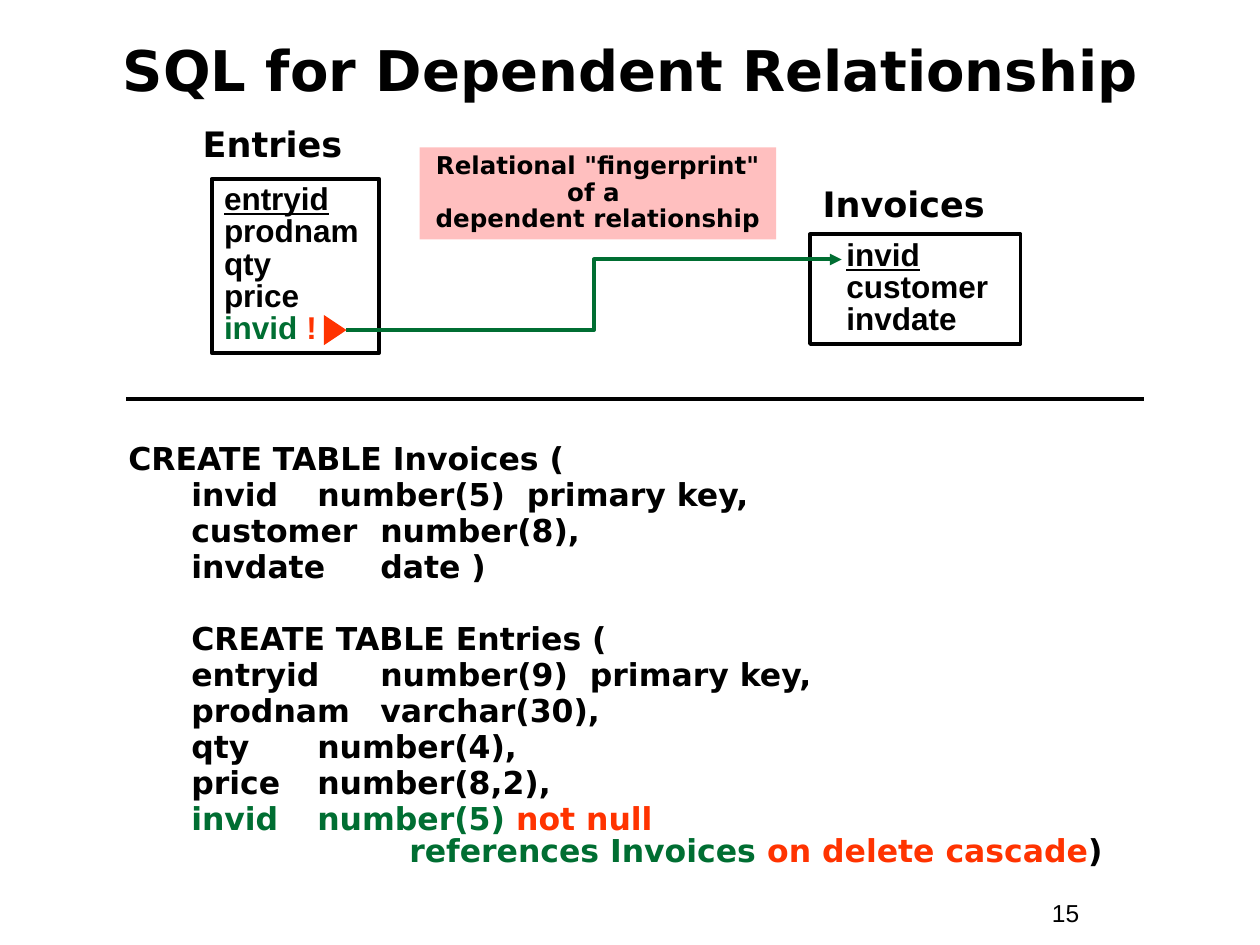
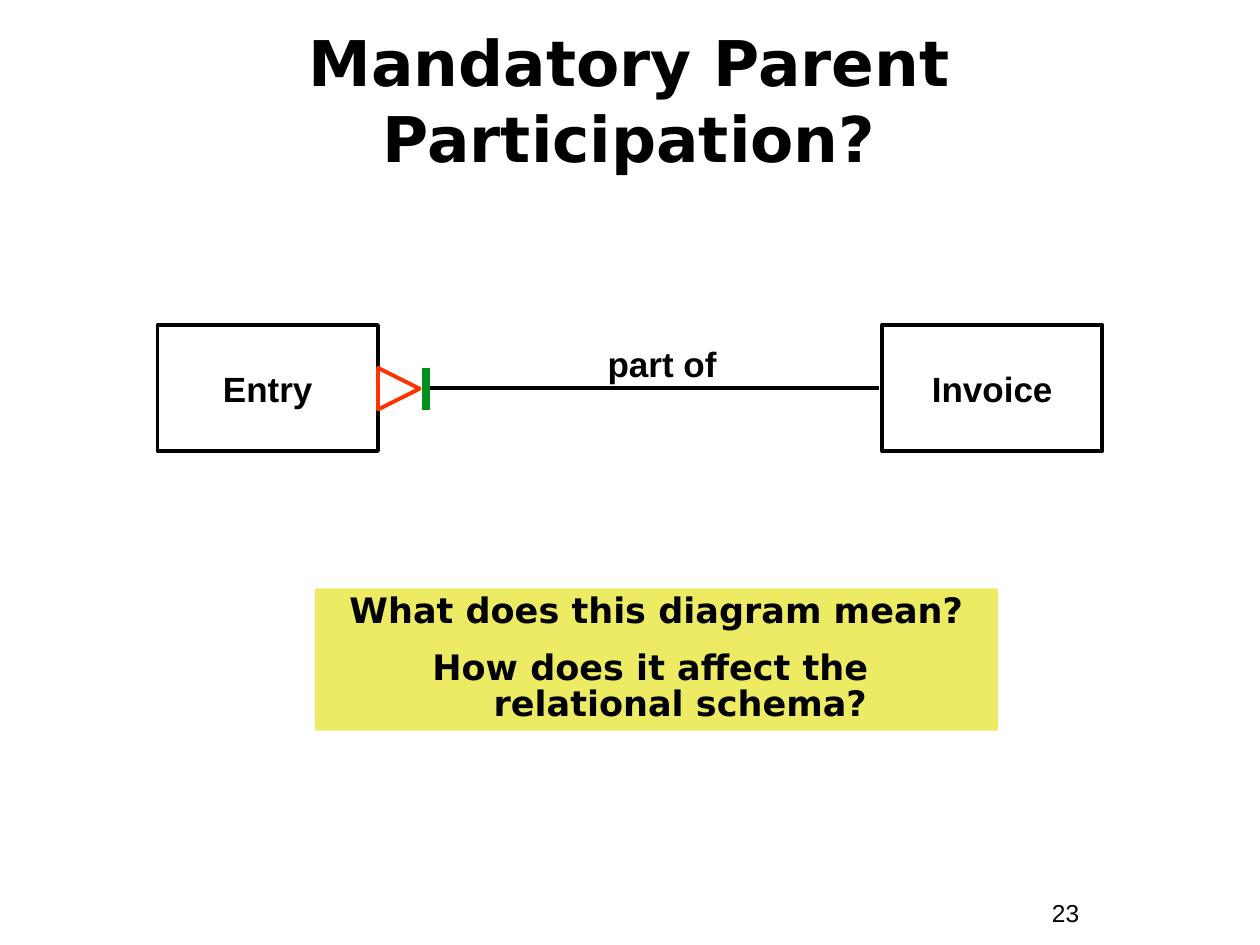
from dataclasses import dataclass

from lxml.etree import SubElement
from pptx import Presentation
from pptx.dml.color import RGBColor
from pptx.enum.shapes import MSO_CONNECTOR as Connector, MSO_SHAPE as Preset
from pptx.enum.text import MSO_ANCHOR as Anchor, PP_ALIGN as Align
from pptx.oxml.ns import qn
from pptx.util import Inches, Pt


@dataclass(frozen=True)
class Theme:
    black: str = "000000"
    key_green: str = "006E32"
    bar_green: str = "00901B"
    alert_red: str = "FF3300"
    pink: str = "FFBFBF"
    yellow: str = "EDEA63"
    heading_face: str = "DejaVu Sans"
    label_face: str = "Arial"
    label_size: int = 20
    body_size: int = 18
    small_size: int = 14
    line_width: float = 2.25
    bar_width: float = 4.5


THEME = Theme()


@dataclass
class Line:
    """One paragraph: runs are (text, colour) pairs, lengths in inches and points."""
    runs: list
    indent: float = 0
    first_indent: float = 0
    space_before: float = 0
    underline: bool = False
    tabs: tuple = ()


def plain(text, **options):
    return Line([(text, THEME.black)], **options)


def sql(*runs):
    return Line(list(runs), indent=0.5, space_before=2.2, tabs=range(8))


def sql_column(name, definition):
    return sql((f"{name}\t{definition}", THEME.black))


# Content: boxes are (left, top, width, height) in inches
PAGE_NUMBER_BOX = (8.25, 7.08, 0.92, 0.34)

SQL_TITLE = ("SQL for Dependent Relationship", (0.17, 0.17, 9.67, 0.75), 32)
ENTITIES = [
    ("Entries", (1.51, 0.92, 2.15, 0.44), (1.68, 1.42, 1.33, 1.38), [
        plain("entryid", underline=True),
        plain("prodnam"),
        plain("qty"),
        plain("price"),
        Line([("invid ", THEME.key_green), ("!", THEME.alert_red)]),
    ]),
    ("Invoices", (6.43, 1.4, 2.15, 0.44), (6.43, 1.86, 1.67, 0.87), [
        plain("invid", indent=0.19, underline=True),
        plain("customer", indent=0.19),
        plain("invdate", indent=0.19),
    ]),
]
FINGERPRINT = [plain('Relational "fingerprint" of a \vdependent relationship')]
SQL_CODE = [
    plain("CREATE TABLE Invoices ("),
    sql_column("invid", "number(5)  primary key,"),
    sql_column("customer", "number(8),"),
    sql_column("invdate", "date )"),
    plain("CREATE TABLE Entries (", indent=0.5, space_before=22.8),
    sql_column("entryid", "number(9)  primary key,"),
    sql_column("prodnam", "varchar(30),"),
    sql_column("qty", "\tnumber(4),"),
    sql_column("price", "number(8,2),"),
    sql(("invid\tnumber(5) ", THEME.key_green), ("not null", THEME.alert_red)),
    Line([("references Invoices ", THEME.key_green),
          ("on delete cascade", THEME.alert_red),
          (")", THEME.black)], indent=2.23),
]

PARENT_TITLE = ("Mandatory Parent Participation?", (0.33, 0.33, 9.33, 0.92), 36)
PARTICIPANTS = [("Entry", 1.25), ("Invoice", 7)]
QUESTIONS = [
    plain("What does this diagram mean?", indent=0.38, first_indent=-0.38),
    plain("How does it affect the \vrelational schema?",
          indent=0.38, first_indent=-0.38, space_before=12.5),
]


def inches(values):
    return [Inches(value) for value in values]


def rgb(colour):
    return RGBColor.from_string(colour)


def set_layout(paragraph, line):
    properties = paragraph._p.get_or_add_pPr()
    properties.set("marL", str(Inches(line.indent)))
    properties.set("indent", str(Inches(line.first_indent)))
    if line.tabs:
        tab_list = SubElement(properties, qn("a:tabLst"))
        for position in line.tabs:
            SubElement(tab_list, qn("a:tab"), pos=str(Inches(position)), algn="l")


def write(shape, lines, size, face=THEME.heading_face, align=Align.LEFT,
          spacing=1.0, anchor=Anchor.TOP, bold=True, wrap=True):
    frame = shape.text_frame
    frame.word_wrap = wrap
    frame.vertical_anchor = anchor
    for index, line in enumerate(lines):
        paragraph = frame.add_paragraph() if index else frame.paragraphs[0]
        set_layout(paragraph, line)
        paragraph.alignment = align
        paragraph.line_spacing = spacing
        if line.space_before:
            paragraph.space_before = Pt(line.space_before)
        font = paragraph.font
        font.size, font.name, font.bold = Pt(size), face, bold
        font.underline = line.underline
        colours = {colour for _, colour in line.runs}
        if len(colours) == 1:
            font.color.rgb = rgb(line.runs[0][1])
        for text, colour in line.runs:
            for part, piece in enumerate(text.split("\v")):
                if part:
                    paragraph.add_line_break()
                run = paragraph.add_run()
                run.text = piece
                if len(colours) > 1:
                    run.font.color.rgb = rgb(colour)


def add_text(slide, box, text, size, **style):
    write(slide.shapes.add_textbox(*inches(box)), [plain(text)], size, **style)


def add_preset(slide, preset, box, fill=None, outline=None, rotation=0):
    shape = slide.shapes.add_shape(preset, *inches(box))
    shape.shadow.inherit = False
    shape.rotation = rotation
    if fill:
        shape.fill.solid()
        shape.fill.fore_color.rgb = rgb(fill)
    else:
        shape.fill.background()
    if outline:
        shape.line.color.rgb = rgb(outline)
        shape.line.width = Pt(THEME.line_width)
    else:
        shape.line.fill.background()
    return shape


def add_line(slide, points, colour=THEME.black, width=THEME.line_width,
             kind=Connector.STRAIGHT, arrow=False):
    connector = slide.shapes.add_connector(kind, *inches(points))
    connector.line.color.rgb = rgb(colour)
    connector.line.width = Pt(width)
    if arrow:
        SubElement(connector.line._get_or_add_ln(), qn("a:tailEnd"), type="triangle")
    SubElement(connector._element.spPr, qn("a:effectLst"))


def add_slide(presentation, title, number):
    slide = presentation.slides.add_slide(presentation.slide_layouts[6])
    text, box, size = title
    add_text(slide, PAGE_NUMBER_BOX, str(number), THEME.small_size,
             face=THEME.label_face, bold=False)
    add_text(slide, box, text, size, align=Align.CENTER, anchor=Anchor.MIDDLE)
    return slide


def build_sql_slide(presentation):
    slide = add_slide(presentation, SQL_TITLE, 15)
    code = slide.shapes.add_textbox(*inches((0.92, 3.48, 8.17, 3.76)))
    write(code, SQL_CODE, THEME.body_size, spacing=0.85)
    for name, name_box, table_box, columns in ENTITIES:
        add_text(slide, name_box, name, THEME.label_size)
        table = add_preset(slide, Preset.RECTANGLE, table_box, outline=THEME.black)
        write(table, columns, THEME.body_size, face=THEME.label_face, spacing=0.85)
    add_line(slide, (2.75, 2.62, 6.68, 2.06), THEME.key_green,
             kind=Connector.ELBOW, arrow=True)
    add_preset(slide, Preset.ISOSCELES_TRIANGLE, (2.54, 2.53, 0.24, 0.18),
               fill=THEME.alert_red, rotation=90)
    add_line(slide, (1, 3.17, 9.08, 3.17))
    note = add_preset(slide, Preset.RECTANGLE, (3.33, 1.17, 2.83, 0.73), fill=THEME.pink)
    write(note, FINGERPRINT, THEME.small_size, align=Align.CENTER, spacing=0.9)


def build_parent_slide(presentation):
    slide = add_slide(presentation, PARENT_TITLE, 23)
    label_style = dict(face=THEME.label_face, align=Align.CENTER)
    for name, left in PARTICIPANTS:
        entity = add_preset(slide, Preset.RECTANGLE, (left, 2.58, 1.75, 1),
                            outline=THEME.black)
        write(entity, [plain(name)], THEME.label_size, anchor=Anchor.MIDDLE,
              wrap=False, **label_style)
    add_line(slide, (6.98, 3.08, 3.35, 3.08))
    add_text(slide, (4.67, 2.67, 1.17, 0.44), "part of", THEME.label_size, **label_style)
    add_preset(slide, Preset.FLOWCHART_EXTRACT, (3, 2.92, 0.33, 0.33),
               outline=THEME.alert_red, rotation=90)
    add_line(slide, (3.38, 2.92, 3.38, 3.25), THEME.bar_green, THEME.bar_width)
    panel = add_preset(slide, Preset.RECTANGLE, (2.5, 4.67, 5.42, 1.13), fill=THEME.yellow)
    write(panel, QUESTIONS, THEME.label_size, align=Align.CENTER, spacing=0.85)


def main():
    presentation = Presentation()
    presentation.slide_width, presentation.slide_height = inches((10, 7.5))
    build_sql_slide(presentation)
    build_parent_slide(presentation)
    presentation.save("out.pptx")


if __name__ == "__main__":
    main()
